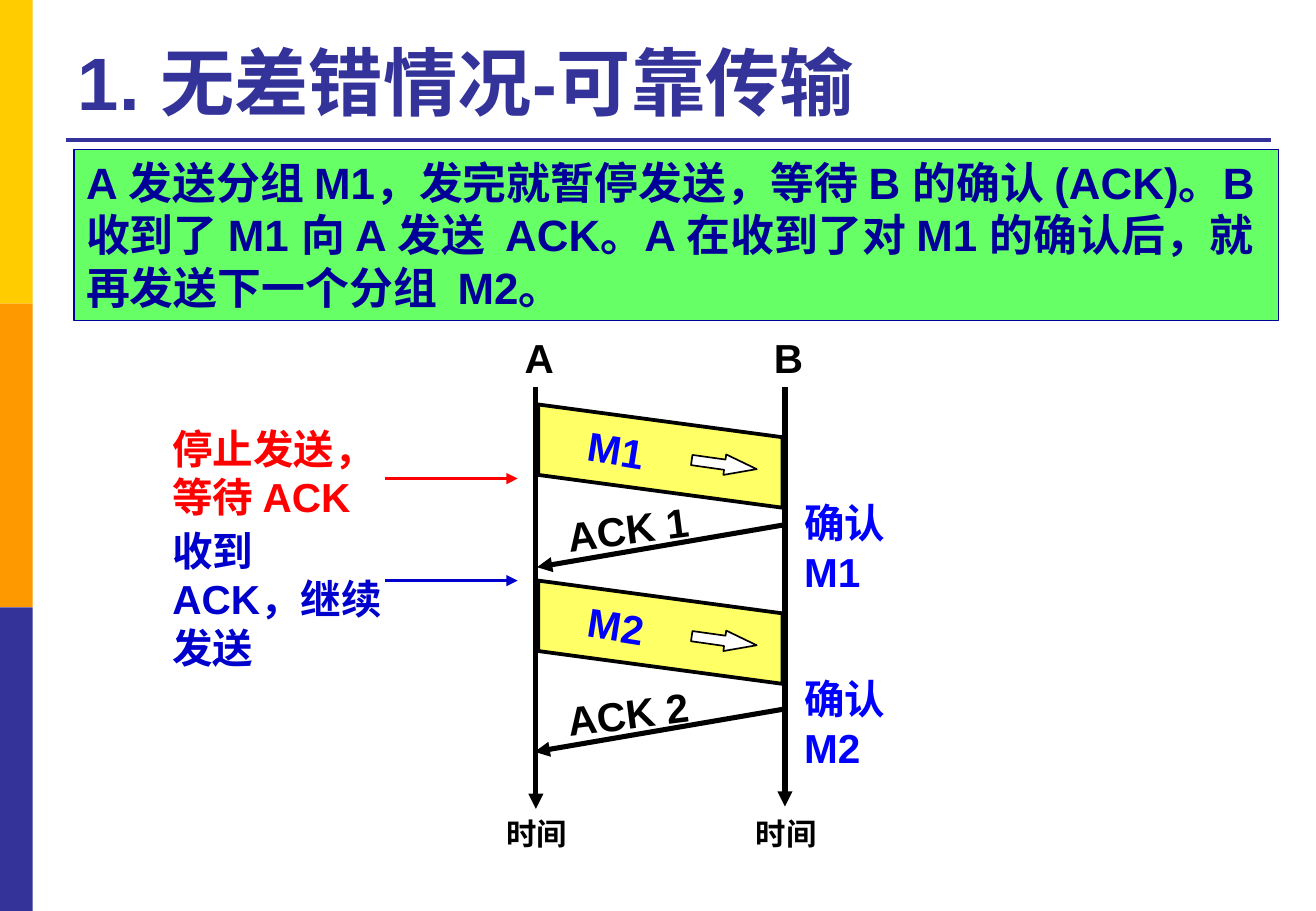
from lxml import etree
from pptx import Presentation
from pptx.dml.color import RGBColor
from pptx.enum.shapes import MSO_CONNECTOR, MSO_SHAPE
from pptx.enum.text import MSO_ANCHOR, PP_ALIGN
from pptx.oxml.ns import qn
from pptx.util import Emu, Pt

PX = 9144  # 100 px to the inch
RECT, ARROW = MSO_SHAPE.RECTANGLE, MSO_SHAPE.RIGHT_ARROW
STRAIGHT = MSO_CONNECTOR.STRAIGHT
TOP, BOTTOM = MSO_ANCHOR.TOP, MSO_ANCHOR.BOTTOM
LEFT = PP_ALIGN.LEFT

COLORS = {
    "gold": "FFCC00", "orange": "FF9900", "indigo": "333399",
    "green": "66FF66", "navy": "000099", "yellow": "FFFF66",
    "black": "000000", "white": "FFFFFF", "red": "FF0000",
    "blue": "0000FF", "royal": "0000CC",
}


def emu(*values):
    return [Emu(v * PX) for v in values]


def rgb(name):
    return RGBColor.from_string(COLORS[name])


class Board:
    def __init__(self, slide, font):
        self.slide = slide
        self.shapes = slide.shapes
        self.font = font

    def words(self, shape, text, size, color, wrap=True, anchor=TOP):
        frame = shape.text_frame
        frame.text = text
        frame.word_wrap = wrap
        frame.vertical_anchor = anchor
        para = frame.paragraphs[0]
        para.alignment = LEFT
        font = para.font
        font.name, font.size, font.bold = self.font, Pt(size), True
        font.color.rgb = rgb(color)

    def title(self, text, x, y, w, h):
        shape = self.shapes.title
        shape.left, shape.top, shape.width, shape.height = emu(x, y, w, h)
        self.words(shape, text, 44, "indigo", anchor=BOTTOM)

    def paint(self, shape, fill, line=None, width=1):
        shape.shadow.inherit = False
        shape.fill.solid()
        shape.fill.fore_color.rgb = rgb(fill)
        if line:
            shape.line.color.rgb = rgb(line)
            shape.line.width = Pt(width)
        else:
            shape.line.fill.background()

    def shape(self, kind, x, y, w, h, fill, line=None, width=1):
        shape = self.shapes.add_shape(kind, *emu(x, y, w, h))
        self.paint(shape, fill, line, width)
        return shape

    def label(self, text, x, y, w, h, color="black", size=24, wrap=False, turn=0):
        box = self.shapes.add_textbox(*emu(x, y, w, h))
        box.rotation = turn
        self.words(box, text, size, color, wrap)

    def line(self, x1, y1, x2, y2, color="black", width=3, head=True):
        line = self.shapes.add_connector(STRAIGHT, *emu(x1, y1, x2, y2))
        line.line.color.rgb = rgb(color)
        line.line.width = Pt(width)
        props = line._element.spPr
        if head:
            etree.SubElement(props.find(qn("a:ln")), qn("a:tailEnd"), type="triangle")
        etree.SubElement(props, qn("a:effectLst"))

    def packet(self, name, y):
        """Draw a slanted data frame from A to B, with its top left at y."""
        left, right, drop, tall = 443, 644, 27, 58
        outline = self.shapes.build_freeform(left, y, scale=PX)
        outline.add_line_segments(
            [(right, y + drop), (right, y + drop + tall), (left, y + tall)])
        self.paint(outline.convert_to_shape(), "yellow", "black", 2.25)
        arrow = self.shape(ARROW, 569, y + 41, 54, 17, "white", "black")
        arrow.adjustments[1] = 1.56
        arrow.rotation = 8
        self.label(name, 474, y + 12, 67, 50, "blue", turn=9)


def main():
    prs = Presentation()
    prs.slide_width, prs.slide_height = emu(1083, 750)
    board = Board(prs.slides.add_slide(prs.slide_layouts[5]), "Arial")

    for i, color in enumerate(("gold", "orange", "indigo")):
        board.shape(RECT, 0, 250 * i, 27, 250, color)
    board.line(54, 115, 1046, 115, "indigo", 2.25, head=False)
    board.title("1. 无差错情况-可靠传输", 54, 21, 991, 87)

    intro = board.shape(RECT, 61, 123, 991, 141, "green", "navy", 0.75)
    board.words(intro, "A 发送分组 M1，发完就暂停发送，等待 B 的确认 (ACK)。"
                "B 收到了 M1 向 A 发送  ACK。A 在收到了对 M1 的确认后，"
                "就再发送下一个分组  M2。", 26, "navy")

    for i, (top, ack, x) in enumerate(((333, 432, 442), (478, 584, 440)), 1):
        board.packet(f"M{i}", top)
        board.line(x + 204, ack, x, ack + 35)
        board.label(f"ACK {i}", 457, ack - 22, 121, 51, turn=352.8)
        board.label(f"确认 M{i}", 652, top + 72, 110, 91, "blue", wrap=True)

    for text, y, w, arrow, color in (
            ("停止发送，等待 ACK", 344, 202, 394, "red"),
            ("收到 ACK，继续发送", 428, 193, 478, "royal")):
        board.label(text, 132, y, w, 91, color, wrap=True)
        board.line(317, arrow, 426, arrow, color, 2.25)

    for name, x, end in (("A", 441, 666), ("B", 646, 664)):
        board.label(name, x - 19, 269, 44, 50)
        board.line(x, 319, x, end)
        board.label("时间", x - 34, 666, 71, 40, size=18)

    prs.save("out.pptx")


if __name__ == "__main__":
    main()
